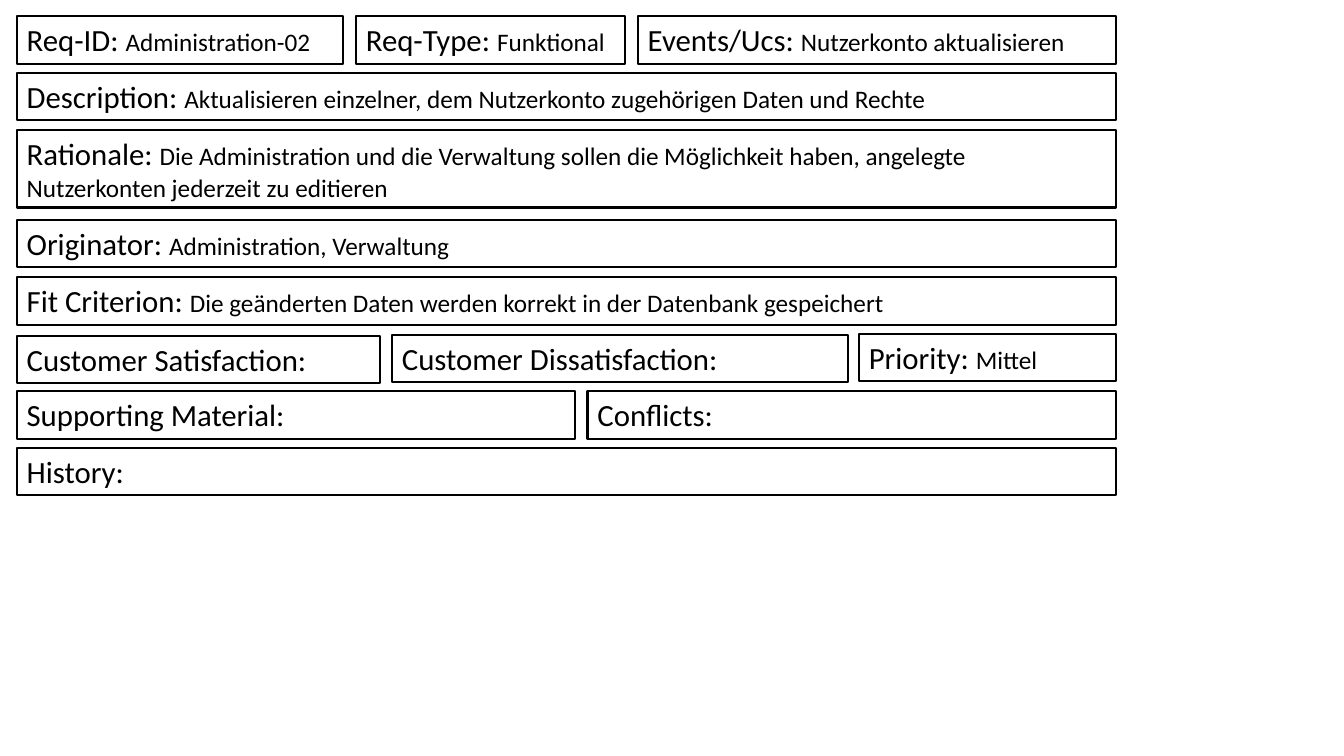
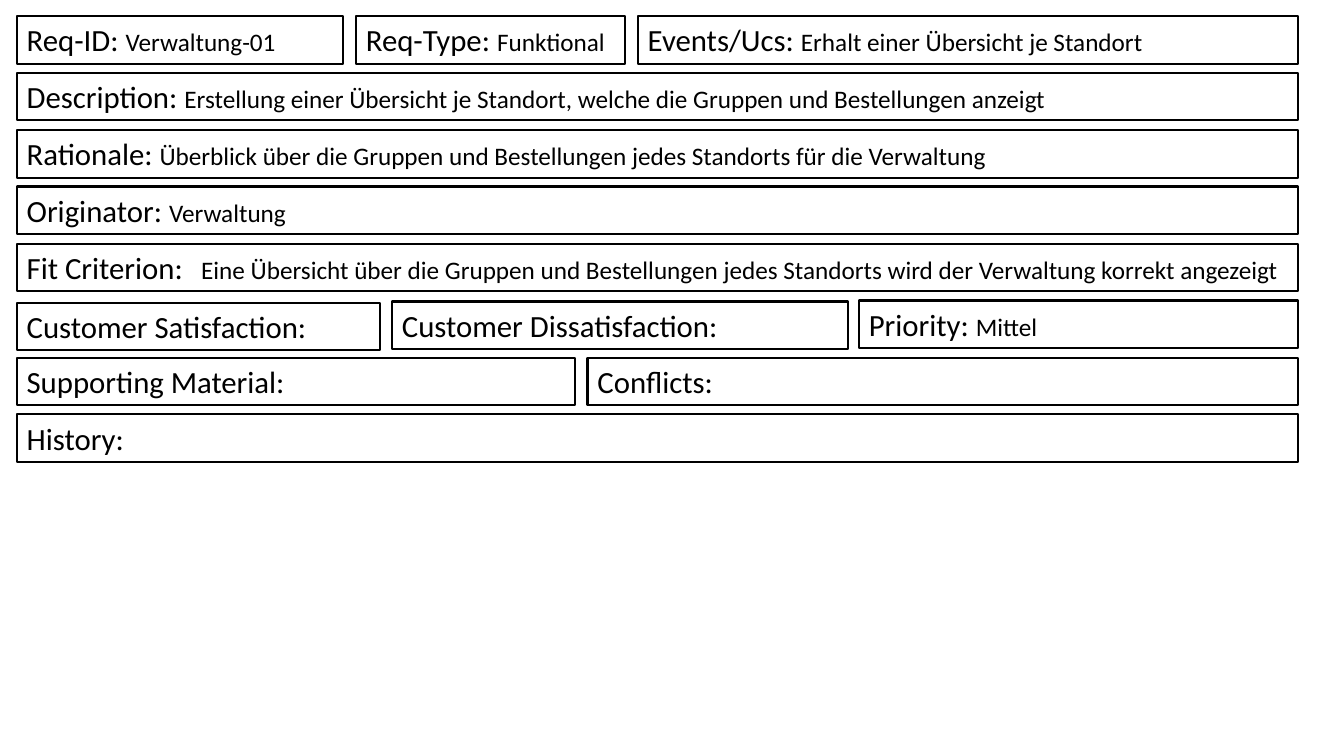
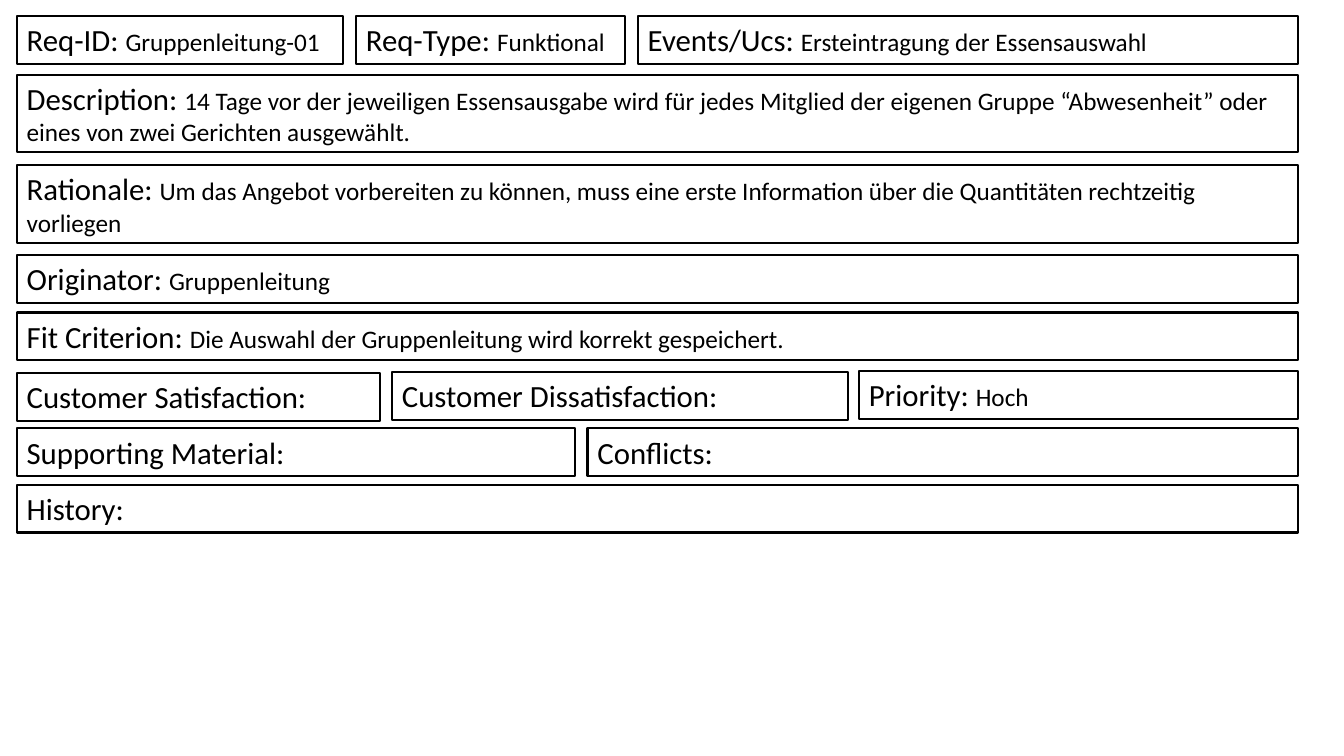
import pptx
import pptx.util
import pptx.dml.color
import pptx.enum.text
import lxml.etree

Pt = pptx.util.Pt
HUES = {"ink": "000000"}
INK = pptx.dml.color.RGBColor.from_string(HUES["ink"])
FONT = "Calibri"
LEFT, LOW, TALL = 12, 34, 55.4

# Form rows: label, left edge, right edge (None = form's right edge), drop
ROWS = [
    [("Req-ID:", LEFT, 245.2, 0), ("Req-Type:", 254.3, 446.5, 0),
     ("Events/Ucs:", 455.6, None, 0)],
    [("Description:", LEFT, None, 0)],
    [("Rationale:", LEFT, None, 0)],
    [("Originator:", LEFT, None, 0)],
    [("Fit Criterion:", LEFT, None, 0)],
    [("Customer Satisfaction:", LEFT, 271.2, 1.5),
     ("Customer Dissatisfaction:", 280, 605.5, 0.75),
     ("Priority:", 613.5, None, 0)],
    [("Supporting Material:", LEFT, 411, 0), ("Conflicts:", 419.7, None, 0)],
    [("History:", LEFT, None, 0)],
]

# Each card: right edge, row tops, two-line fields, field values
CARDS = [
    (797.4, [11.5, 52, 92.9, 157, 198, 238.4, 279.4, 319.8], ["Rationale:"], {
        "Req-ID:": "Administration-02",
        "Req-Type:": "Funktional",
        "Events/Ucs:": "Nutzerkonto aktualisieren",
        "Description:": "Aktualisieren einzelner, dem Nutzerkonto "
                        "zugehörigen Daten und Rechte",
        "Rationale:": "Die Administration und die Verwaltung sollen die "
                      "Möglichkeit haben, angelegte Nutzerkonten jederzeit "
                      "zu editieren",
        "Originator:": "Administration, Verwaltung",
        "Fit Criterion:": "Die geänderten Daten werden korrekt in der "
                          "Datenbank gespeichert",
        "Priority:": "Mittel",
    }),
    (927, [11.5, 52, 92.9, 133.2, 174.2, 214.6, 255.5, 296], [], {
        "Req-ID:": "Verwaltung-01",
        "Req-Type:": "Funktional",
        "Events/Ucs:": "Erhalt einer Übersicht je Standort",
        "Description:": "Erstellung einer Übersicht je Standort, welche die "
                        "Gruppen und Bestellungen anzeigt",
        "Rationale:": "Überblick über die Gruppen und Bestellungen jedes "
                      "Standorts für die Verwaltung",
        "Originator:": "Verwaltung",
        "Fit Criterion:": "\tEine Übersicht über die Gruppen und Bestellungen "
                          "jedes Standorts wird der Verwaltung korrekt "
                          "angezeigt",
        "Priority:": "Mittel",
    }),
    (927, [11.5, 53.4, 118, 182.2, 223.2, 265, 306, 346.4],
     ["Description:", "Rationale:"], {
        "Req-ID:": "Gruppenleitung-01",
        "Req-Type:": "Funktional",
        "Events/Ucs:": "Ersteintragung der Essensauswahl",
        "Description:": "14 Tage vor der jeweiligen Essensausgabe wird für "
                        "jedes Mitglied der eigenen Gruppe “Abwesenheit” oder "
                        "eines von zwei Gerichten ausgewählt.",
        "Rationale:": "Um das Angebot vorbereiten zu können, muss eine erste "
                      "Information über die Quantitäten rechtzeitig vorliegen",
        "Originator:": "Gruppenleitung",
        "Fit Criterion:": "Die Auswahl der Gruppenleitung wird korrekt "
                          "gespeichert.",
        "Priority:": "Hoch",
    }),
]


def add_tab(para, pos):
    props = para._p.get_or_add_pPr()
    tabs = lxml.etree.SubElement(props, pptx.oxml.ns.qn("a:tabLst"))
    lxml.etree.SubElement(tabs, pptx.oxml.ns.qn("a:tab"),
                          pos=str(Pt(pos)), algn="l")


def add_field(slide, label, value, left, top, width, height):
    box = slide.shapes.add_textbox(Pt(left), Pt(top), Pt(width), Pt(height))
    box.line.color.rgb = INK
    box.line.width = Pt(1.5)
    frame = box.text_frame
    frame.word_wrap = True
    frame.auto_size = pptx.enum.text.MSO_AUTO_SIZE.SHAPE_TO_FIT_TEXT
    para = frame.paragraphs[0]
    if value.startswith("\t"):
        add_tab(para, 124.6)
    elif value:
        label += " "
    para.font.name = FONT
    para.font.color.rgb = INK
    for text, size in ((label, 22), (value, 18)):
        if text:
            run = para.add_run()
            run.text = text
            run.font.size = Pt(size)


deck = pptx.Presentation()
deck.slide_width, deck.slide_height = Pt(960), Pt(540)

# One requirement card per slide
for edge, tops, long, values in CARDS:
    slide = deck.slides.add_slide(deck.slide_layouts[6])
    for top, row in zip(tops, ROWS):
        for label, left, right, drop in row:
            add_field(slide, label, values.get(label, ""), left, top + drop,
                      (right or edge) - left, TALL if label in long else LOW)

deck.save("out.pptx")
